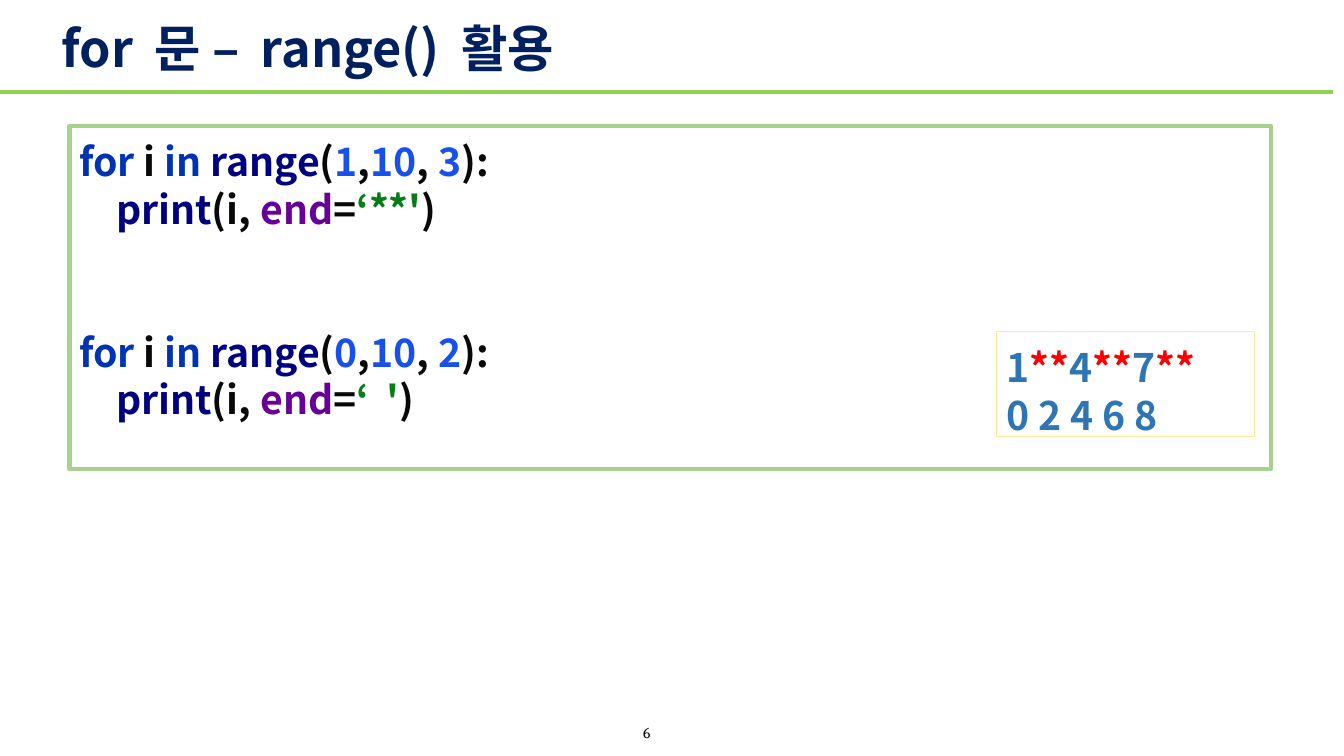
"""Build the slide on using range() in a for loop."""
from lxml.etree import SubElement
from pptx import Presentation
from pptx.dml.color import RGBColor
from pptx.enum.shapes import MSO_CONNECTOR, MSO_SHAPE
from pptx.enum.text import MSO_ANCHOR, PP_ALIGN
from pptx.oxml.ns import qn
from pptx.util import Cm, Pt

COLORS = {
    "title": "002060", "rule": "92D050", "frame": "A9D18E", "output_frame": "FFE699",
    "keyword": "0033B3", "plain": "080808", "builtin": "000080", "number": "1750EB",
    "argument": "660099", "string": "067D17", "result": "2E75B6", "stars": "FF0000",
    "page": "000000",
}
CODE_FORMAT = {"name": "Noto Sans CJK KR", "size": Pt(28), "bold": True}
TITLE_FORMAT = {"name": "Noto Sans CJK KR", "size": Pt(36), "bold": True}
PAGE_FORMAT = {"name": "Cambria", "size": Pt(11)}


def add_run(paragraph, text, color, font_format):
    run = paragraph.add_run()
    run.text = text
    for name, value in font_format.items():
        setattr(run.font, name, value)
    run.font.color.rgb = RGBColor.from_string(COLORS[color])
    properties = run._r.get_or_add_rPr()
    SubElement(properties, qn("a:ea")).set("typeface", font_format["name"])
    return properties


def add_code_box(position, frame_color, frame_width, lines):
    box = slide.shapes.add_shape(MSO_SHAPE.RECTANGLE, *[Cm(value) for value in position])
    box.shadow.inherit = False
    box.fill.background()
    box.line.color.rgb = RGBColor.from_string(COLORS[frame_color])
    box.line.width = Pt(frame_width)
    frame = box.text_frame
    frame.word_wrap = True
    frame.vertical_anchor = MSO_ANCHOR.TOP
    frame.margin_top = Cm(0.28)
    for index, (indent, space_before, pieces) in enumerate(lines):
        paragraph = frame.add_paragraph() if index else frame.paragraphs[0]
        paragraph.alignment = PP_ALIGN.LEFT
        paragraph.line_spacing = Pt(34)
        paragraph.space_before = Pt(space_before)
        paragraph._p.get_or_add_pPr().set("marL", str(Cm(indent)))
        for text, color in pieces:
            add_run(paragraph, text, color, CODE_FORMAT)


presentation = Presentation()
presentation.slide_width = Cm(33.87)
presentation.slide_height = Cm(19.05)
slide = presentation.slides.add_slide(presentation.slide_layouts[5])

rule = slide.shapes.add_connector(MSO_CONNECTOR.STRAIGHT, Cm(0), Cm(2.31), Cm(33.6), Cm(2.31))
rule.line.color.rgb = RGBColor.from_string(COLORS["rule"])
rule.line.width = Pt(3)
SubElement(rule._element.spPr, qn("a:effectLst"))

title = slide.shapes.title
title_place = {"left": Cm(1.02), "top": Cm(0.53), "width": Cm(18.87), "height": Cm(1.5)}
for name, value in title_place.items():
    setattr(title, name, value)
title_frame = title.text_frame
title_frame.word_wrap = True
title_frame.vertical_anchor = MSO_ANCHOR.MIDDLE
title_frame.margin_left = Cm(0.53)
title_paragraph = title_frame.paragraphs[0]
title_paragraph.alignment = PP_ALIGN.LEFT
title_paragraph.line_spacing = 0.9
for text, spacing in [("for", 0), (" ", 700), ("문 –", 0), (" ", 700),
                      ("range()", 0), (" ", 700), ("활용", 0)]:
    add_run(title_paragraph, text, "title", TITLE_FORMAT).set("spc", str(spacing))

code_lines = []
for start, step, ending, gap in [("1", "3", "‘**'", 0), ("0", "2", "‘  '", 68)]:
    code_lines.append((0, gap, [
        ("for ", "keyword"), ("i ", "plain"), ("in ", "keyword"), ("range", "builtin"),
        ("(", "plain"), (start, "number"), (",", "plain"), ("10", "number"),
        (", ", "plain"), (step, "number"), ("):", "plain")]))
    code_lines.append((0.93, 0, [
        ("print", "builtin"), ("(i, ", "plain"), ("end", "argument"), ("=", "plain"),
        (ending, "string"), (")", "plain")]))
add_code_box((1.75, 3.18, 30.28, 8.64), "frame", 3, code_lines)

star_line = []
for number in "147":
    star_line += [(number, "result"), ("**", "stars")]
output_lines = [(0, 0, star_line), (0, 0, [("0 2 4 6 8", "result")])]
add_code_box((25.12, 8.36, 6.5, 2.64), "output_frame", 0.75, output_lines)

page_number = slide.shapes.add_textbox(Cm(15.44), Cm(18.06), Cm(1.73), Cm(0.79))
page_number.rotation = 1
page_frame = page_number.text_frame
page_frame.word_wrap = True
page_frame.vertical_anchor = MSO_ANCHOR.MIDDLE
page_frame.paragraphs[0].alignment = PP_ALIGN.CENTER
add_run(page_frame.paragraphs[0], "6", "page", PAGE_FORMAT)

presentation.save("out.pptx")
